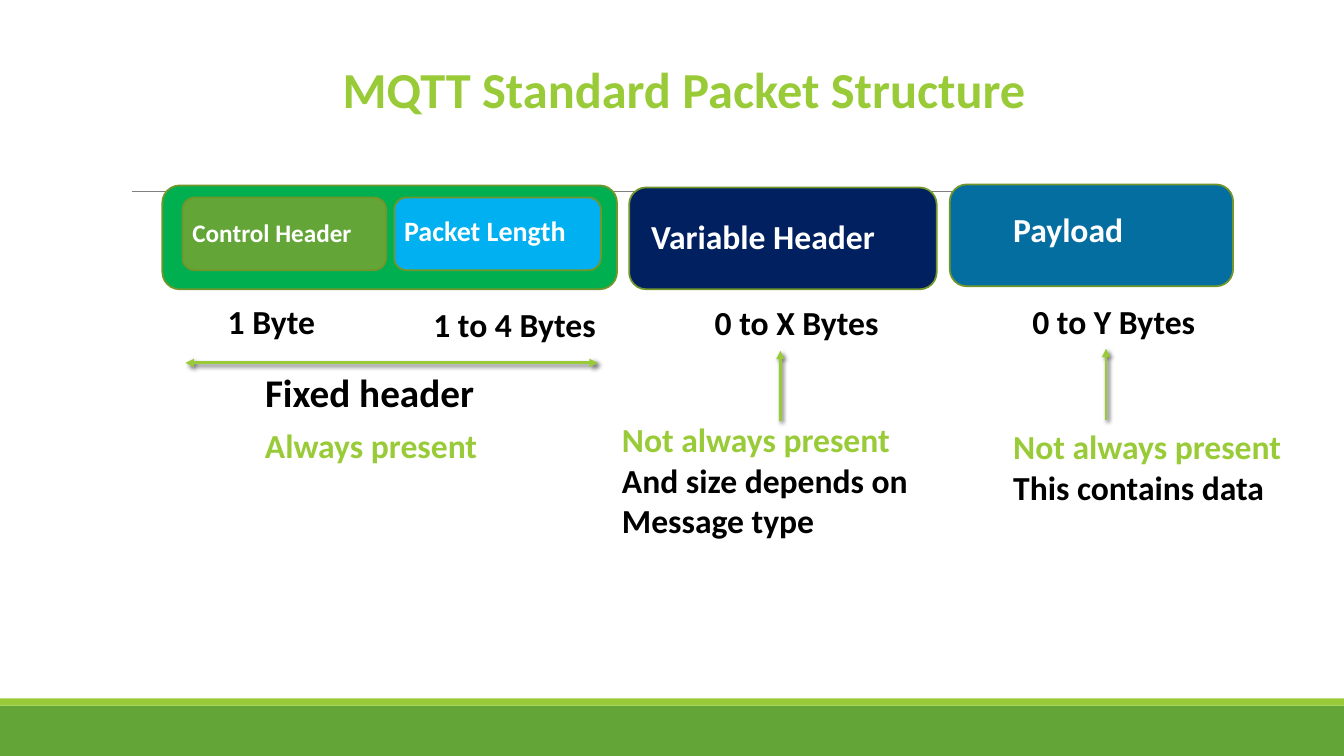
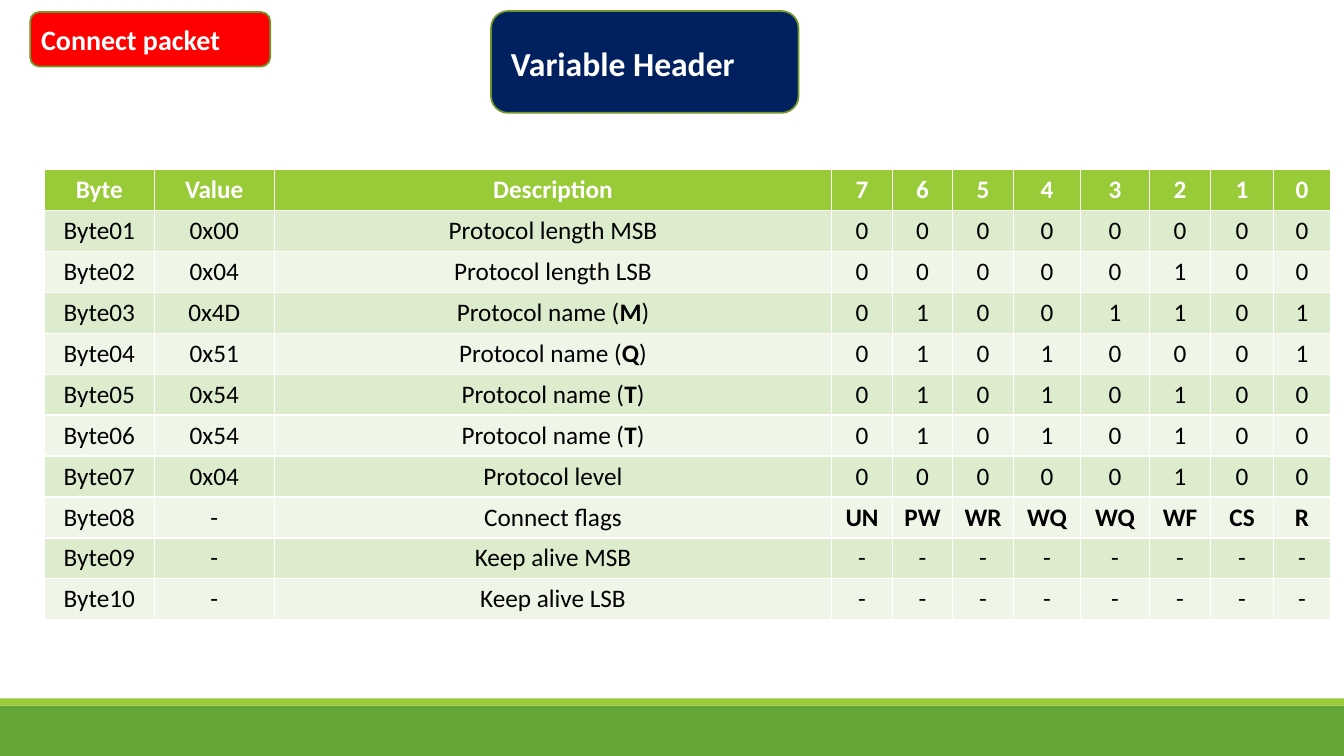
from lxml.etree import SubElement
from pptx import Presentation
from pptx.dml.color import RGBColor
from pptx.enum.shapes import MSO_CONNECTOR, MSO_SHAPE
from pptx.enum.text import PP_ALIGN
from pptx.oxml import parse_xml
from pptx.oxml.ns import nsdecls, qn
from pptx.util import Inches, Pt

FONT = "Calibri"
LIME = RGBColor(0x99, 0xCB, 0x38)
GREEN = RGBColor(0x63, 0xA5, 0x37)
OUTLINE = RGBColor(0x71, 0x96, 0x29)
EMERALD = RGBColor(0x00, 0xB0, 0x50)
SKY = RGBColor(0x00, 0xB0, 0xF0)
NAVY = RGBColor(0x00, 0x20, 0x60)
TEAL = RGBColor(0x05, 0x6E, 0xA0)
RED = RGBColor(0xFF, 0x00, 0x00)
GRAY = RGBColor(0x80, 0x80, 0x80)
BLACK = RGBColor(0x00, 0x00, 0x00)
WHITE = RGBColor(0xFF, 0xFF, 0xFF)
ROW_FILLS = (RGBColor(0xEF, 0xF6, 0xE8), RGBColor(0xDE, 0xEC, 0xCE))
SHADOW = (
    f'<a:effectLst {nsdecls("a")}><a:outerShdw blurRad="38100" dist="25400" dir="2700000">'
    '<a:srgbClr val="000000"><a:alpha val="60000"/></a:srgbClr></a:outerShdw></a:effectLst>'
)
NO_SHADOW = f'<a:effectLst {nsdecls("a")}/>'


def add_box(slide, bounds, color, outlined=True):
    kind = MSO_SHAPE.ROUNDED_RECTANGLE if outlined else MSO_SHAPE.RECTANGLE
    shape = slide.shapes.add_shape(kind, *map(Inches, bounds))
    shape.shadow.inherit = False
    shape.fill.solid()
    shape.fill.fore_color.rgb = color
    if outlined:
        shape.line.color.rgb = OUTLINE
        shape.line.width = Pt(1.25)
    else:
        shape.line.fill.background()


def add_label(slide, bounds, size, *lines):
    frame = slide.shapes.add_textbox(*map(Inches, bounds)).text_frame
    frame.word_wrap = True
    for index, (text, color) in enumerate(lines):
        paragraph = frame.add_paragraph() if index else frame.paragraphs[0]
        paragraph.text = text
        paragraph.font.name = FONT
        paragraph.font.size = Pt(size)
        paragraph.font.bold = True
        paragraph.font.color.rgb = color


presentation = Presentation()
presentation.slide_width = Inches(13.33)
presentation.slide_height = Inches(7.5)

# Slides with their footer bands
slides = []
for _ in range(2):
    slide = presentation.slides.add_slide(presentation.slide_layouts[6])
    add_box(slide, (0, 7, 13.33, 0.5), GREEN, outlined=False)
    add_box(slide, (0, 6.93, 13.33, 0.07), LIME, outlined=False)
    slides.append(slide)
structure_slide, header_slide = slides

# Packet structure: title rule and arrows
for start_x, start_y, end_x, end_y, color, width, arrow_ends in (
    (1.31, 1.9, 12.21, 1.9, GRAY, 0.5, ()),
    (1.84, 3.6, 5.93, 3.6, LIME, 2, ("a:headEnd", "a:tailEnd")),
    (7.74, 4.18, 7.74, 3.48, LIME, 2, ("a:tailEnd",)),
    (10.97, 4.17, 10.97, 3.46, LIME, 2, ("a:tailEnd",)),
):
    connector = structure_slide.shapes.add_connector(
        MSO_CONNECTOR.STRAIGHT, *map(Inches, (start_x, start_y, end_x, end_y))
    )
    connector.line.color.rgb = color
    connector.line.width = Pt(width)
    properties = connector._element.spPr
    for arrow_end in arrow_ends:
        SubElement(properties.find(qn("a:ln")), qn(arrow_end), type="triangle")
    properties.append(parse_xml(SHADOW if arrow_ends else NO_SHADOW))

# Packet structure: fields
for bounds, color in (
    ((1.61, 1.84, 4.51, 1.03), EMERALD),
    ((1.81, 1.96, 2.02, 0.72), GREEN),
    ((3.91, 1.96, 2.05, 0.72), SKY),
    ((6.24, 1.86, 3.05, 1.01), NAVY),
    ((9.42, 1.83, 2.81, 1.01), TEAL),
):
    add_box(structure_slide, bounds, color)

# Packet structure: title, field names, sizes and remarks
for bounds, size, *lines in (
    ((3.3, 0.53, 7.98, 0.71), 36, ("MQTT Standard Packet Structure", LIME)),
    ((1.81, 2.11, 2.16, 0.4), 18, ("Control Header", WHITE)),
    ((3.91, 2.07, 2.36, 0.44), 20, ("Packet Length", WHITE)),
    ((6.36, 2.09, 2.92, 0.5), 24, ("Variable Header", WHITE)),
    ((9.95, 2.02, 1.71, 0.5), 24, ("Payload", WHITE)),
    ((2.16, 2.94, 1.19, 0.5), 24, ("1 Byte", BLACK)),
    ((4.2, 2.97, 2.04, 0.5), 24, ("1 to 4 Bytes", BLACK)),
    ((6.99, 2.95, 2.08, 0.5), 24, ("0 to X Bytes", BLACK)),
    ((10.14, 2.94, 2.05, 0.5), 24, ("0 to Y Bytes", BLACK)),
    ((2.53, 3.6, 2.71, 0.57), 28, ("Fixed header", BLACK)),
    ((2.53, 4.17, 2.67, 0.5), 24, ("Always present", LIME)),
    ((6.07, 4.11, 3.62, 1.31), 24, ("Not always present", LIME),
     ("And size depends on", BLACK), ("Message type", BLACK)),
    ((9.95, 4.18, 3.25, 1.31), 24, ("Not always present", LIME),
     ("This contains data", BLACK)),
):
    add_label(structure_slide, bounds, size, *lines)

# Variable header: headings
add_box(header_slide, (4.87, 0.11, 3.05, 1.01), NAVY)
add_label(header_slide, (4.97, 0.38, 2.9, 0.5), 24, ("Variable Header", WHITE))
add_box(header_slide, (0.3, 0.12, 2.38, 0.54), RED)
add_label(header_slide, (0.31, 0.17, 2.43, 0.44), 20, ("Connect packet", WHITE))

# Variable header: table rows, with the bits worked out from each hex value
FLAGS = ["UN", "PW", "WR", "WQ", "WQ", "WF", "CS", "R"]
rows = [["Byte", "Value", "Description", *"76543210"]]
for number, (value, description) in enumerate((
    ("0x00", "Protocol length MSB"),
    ("0x04", "Protocol length LSB"),
    ("0x4D", "Protocol name (M)"),
    ("0x51", "Protocol name (Q)"),
    ("0x54", "Protocol name (T)"),
    ("0x54", "Protocol name (T)"),
    ("0x04", "Protocol level"),
    ("-", "Connect flags"),
    ("-", "Keep alive MSB"),
    ("-", "Keep alive LSB"),
), start=1):
    if description == "Connect flags":
        bits = FLAGS
    else:
        bits = "-" * 8 if value == "-" else format(int(value, 16), "08b")
    rows.append([f"Byte{number:02}", value, description, *bits])

# Variable header: table
column_widths = (1.09, 1.19, 5.53, 0.6, 0.6, 0.6, 0.67, 0.68, 0.61, 0.62, 0.57)
table = header_slide.shapes.add_table(
    len(rows), len(column_widths), *map(Inches, (0.44, 1.68, 12.76, 4.47))
).table
for column, width in zip(table.columns, column_widths):
    column.width = Inches(width)
for row_index, row in enumerate(rows):
    is_header = row_index == 0
    for column_index, text in enumerate(row):
        cell = table.cell(row_index, column_index)
        cell.fill.solid()
        cell.fill.fore_color.rgb = LIME if is_header else ROW_FILLS[row_index % 2]
        paragraph = cell.text_frame.paragraphs[0]
        paragraph.alignment = PP_ALIGN.CENTER
        paragraph.font.name = FONT
        paragraph.font.size = Pt(18)
        paragraph.font.color.rgb = WHITE if is_header else BLACK
        paragraph.font.bold = is_header or text in FLAGS
        # The letter in brackets is bold
        parts = (text[:-2], text[-2], text[-1]) if text.endswith(")") else (text,)
        for part_index, part in enumerate(parts):
            run = paragraph.add_run()
            run.text = part
            if part_index == 1:
                run.font.bold = True

presentation.save("out.pptx")
